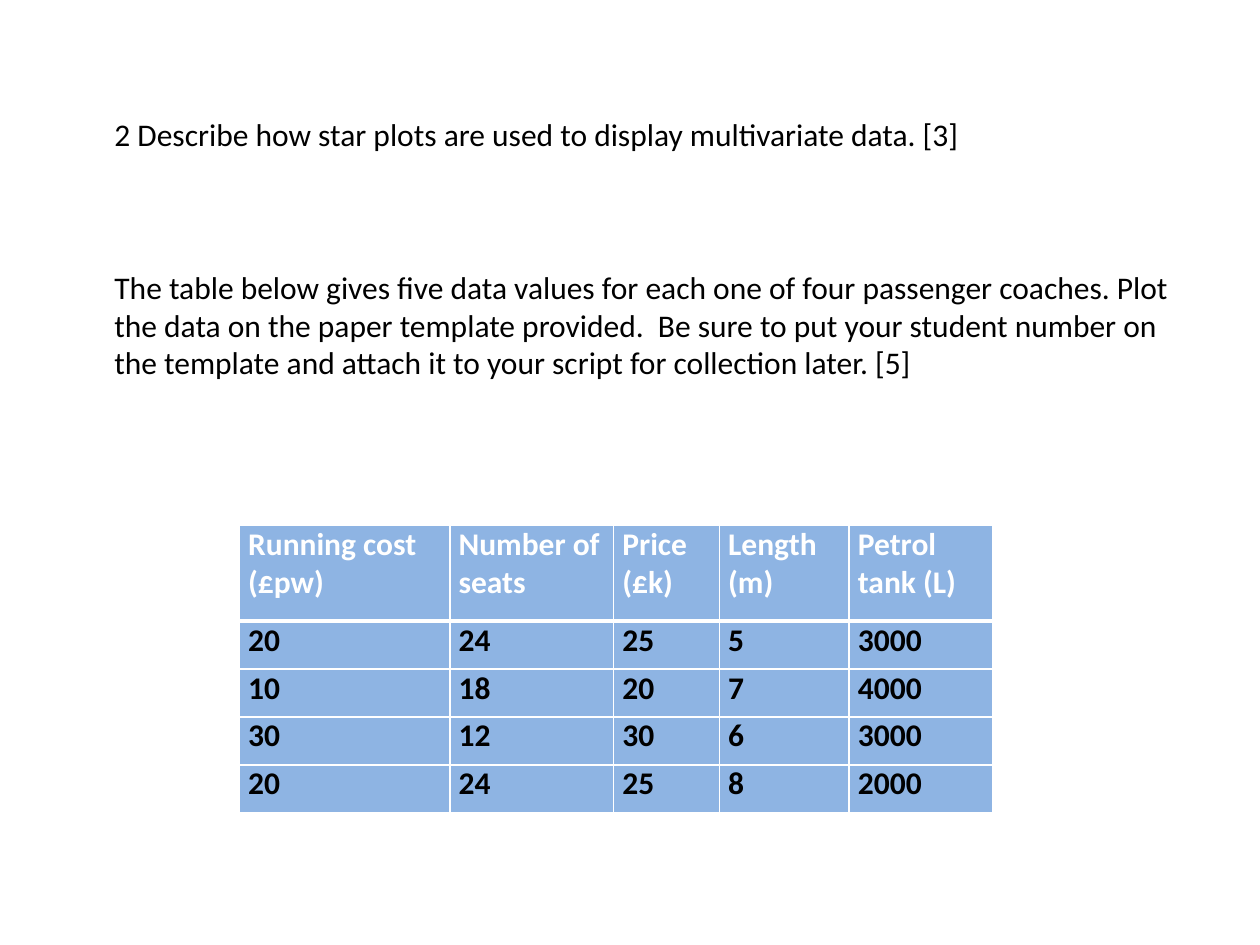
"""Build an exam question slide on star plots with a table of coach data."""
from dataclasses import dataclass

from lxml import etree
from pptx import Presentation
from pptx.dml.color import RGBColor
from pptx.enum.text import MSO_AUTO_SIZE, PP_ALIGN
from pptx.oxml.ns import qn
from pptx.util import Inches, Pt

LEFT, JUSTIFY = PP_ALIGN.LEFT, PP_ALIGN.JUSTIFY
FIT_SHAPE = MSO_AUTO_SIZE.SHAPE_TO_FIT_TEXT
BLANK_LAYOUT = 6

QUESTIONS = [
    "2 Describe how star plots are used to display multivariate data. [3]",
    "The table below gives five data values for each one of four passenger coaches. "
    "Plot the data on the paper template provided.  Be sure to put your student number "
    "on the template and attach it to your script for collection later. [5]",
]
MEASURES = ["Running cost (£pw)", "Number of seats", "Price (£k)", "Length (m)", "Petrol tank (L)"]
COACHES = [
    (20, 24, 25, 5, 3000),
    (10, 18, 20, 7, 4000),
    (30, 12, 30, 6, 3000),
    (20, 24, 25, 8, 2000),
]
COLUMN_WIDTHS = [1.67, 1.3, 0.84, 1.03, 1.14]
HEADER_HEIGHT, COACH_HEIGHT = 0.76, 0.38


@dataclass(frozen=True)
class Theme:
    font: str = "Calibri"
    size: int = 18
    question_gap: int = 66
    ink: str = "000000"
    header_ink: str = "FFFFFF"
    cell: str = "8EB4E3"
    rule: str = "FFFFFF"
    thin: int = 1
    thick: int = 3


THEME = Theme()


def style(paragraph, color, bold=False):
    for run in paragraph.runs:
        run.font.name = THEME.font
        run.font.size = Pt(THEME.size)
        run.font.bold = bold
        run.font.color.rgb = RGBColor.from_string(color)


def add_borders(cell, top, bottom):
    properties = cell._tc.get_or_add_tcPr()
    for side, width in (("L", THEME.thin), ("R", THEME.thin), ("T", top), ("B", bottom)):
        line = etree.SubElement(properties, qn(f"a:ln{side}"), w=str(Pt(width)))
        fill = etree.SubElement(line, qn("a:solidFill"))
        etree.SubElement(fill, qn("a:srgbClr"), val=THEME.rule)


def add_questions(slide):
    box = slide.shapes.add_textbox(Inches(0.81), Inches(0.86), Inches(8.7), Inches(2.52))
    frame = box.text_frame
    frame.word_wrap = True
    frame.auto_size = FIT_SHAPE
    frame.text = "\n".join(QUESTIONS)
    for paragraph in frame.paragraphs:
        style(paragraph, THEME.ink)
    frame.paragraphs[1].space_before = Pt(THEME.question_gap)


def fill_cell(cell, value, row):
    header = row == 0
    cell.text = str(value)
    cell.margin_left = cell.margin_right = Inches(0.07)
    cell.margin_top = cell.margin_bottom = 0
    paragraph = cell.text_frame.paragraphs[0]
    paragraph.alignment = LEFT if header else JUSTIFY
    style(paragraph, THEME.header_ink if header else THEME.ink, bold=True)
    add_borders(
        cell,
        top=THEME.thick if row == 1 else THEME.thin,
        bottom=THEME.thick if header else THEME.thin,
    )
    cell.fill.solid()
    cell.fill.fore_color.rgb = RGBColor.from_string(THEME.cell)


def add_coach_table(slide):
    rows = [MEASURES, *COACHES]
    heights = [HEADER_HEIGHT] + [COACH_HEIGHT] * len(COACHES)
    coaches = slide.shapes.add_table(
        len(rows), len(MEASURES), Inches(1.9), Inches(4.17),
        Inches(sum(COLUMN_WIDTHS)), Inches(sum(heights)),
    ).table
    coaches.horz_banding = False
    for column, width in zip(coaches.columns, COLUMN_WIDTHS):
        column.width = Inches(width)
    for row, (values, height) in enumerate(zip(rows, heights)):
        coaches.rows[row].height = Inches(height)
        for column, value in enumerate(values):
            fill_cell(coaches.cell(row, column), value, row)


def main():
    deck = Presentation()
    deck.slide_width, deck.slide_height = Inches(10), Inches(7.5)
    slide = deck.slides.add_slide(deck.slide_layouts[BLANK_LAYOUT])
    add_questions(slide)
    add_coach_table(slide)
    deck.save("out.pptx")


main()
